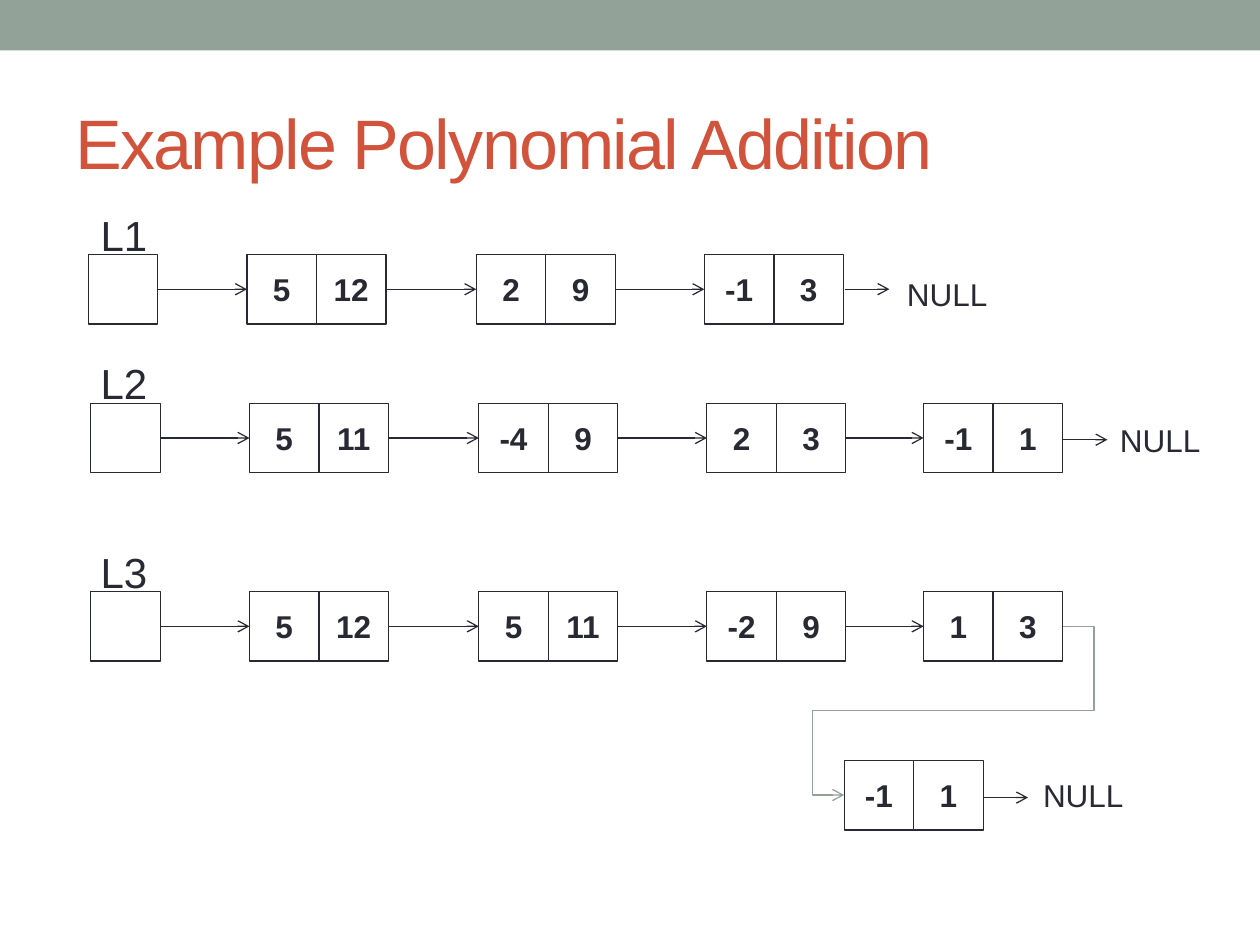
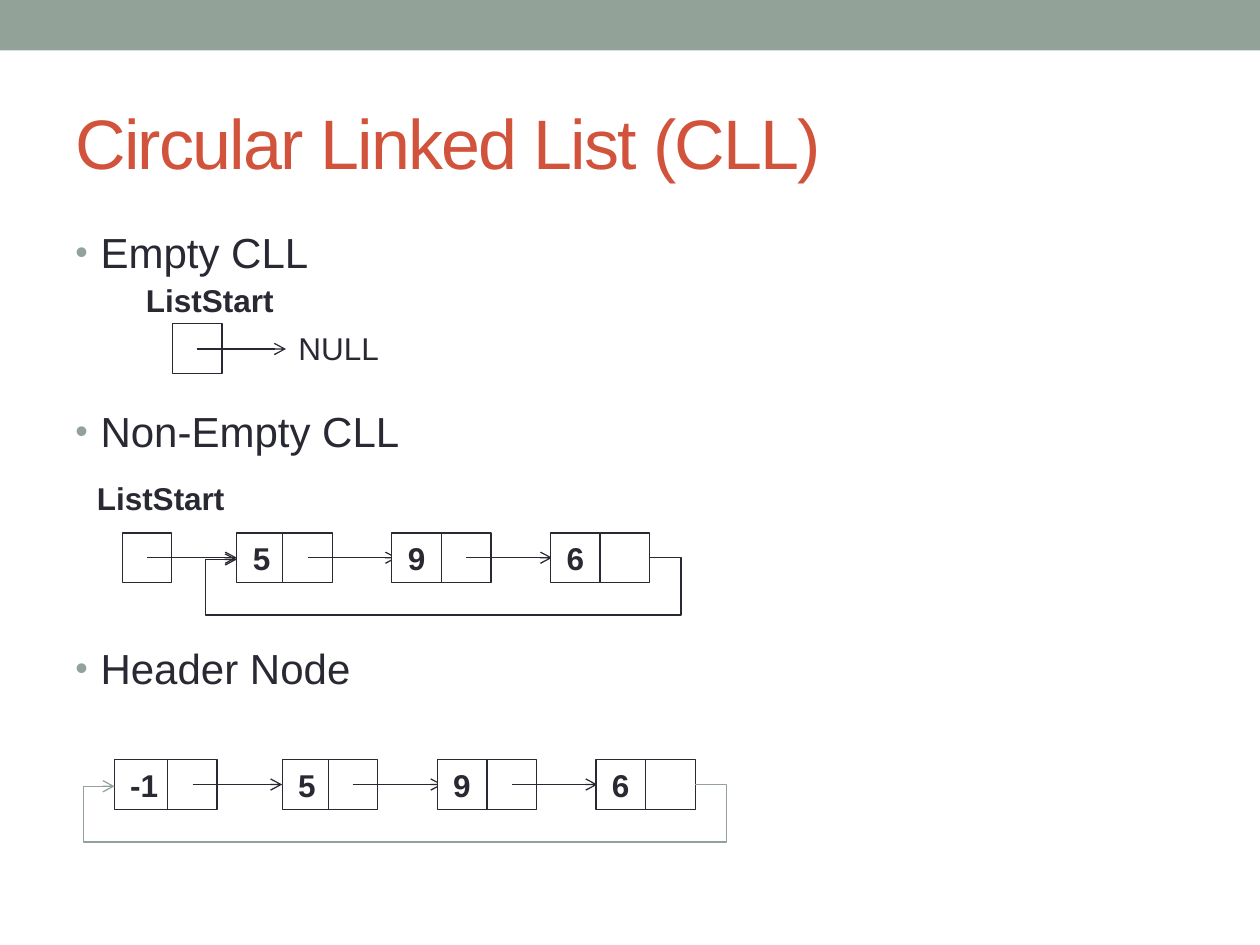
"""Build two slides on linked lists: polynomial addition and circular lists."""
from dataclasses import dataclass

import pptx
import pptx.dml.color
import pptx.enum.shapes
import pptx.enum.text
import pptx.oxml.ns
import pptx.util
from lxml import etree

qn = pptx.oxml.ns.qn
Align = pptx.enum.text.PP_ALIGN
Anchor = pptx.enum.text.MSO_ANCHOR
Connector = pptx.enum.shapes.MSO_CONNECTOR
RECTANGLE = pptx.enum.shapes.MSO_SHAPE.RECTANGLE


@dataclass(frozen=True)
class Theme:
    """Colours, type sizes and the grid of 100 columns by 75 rows."""
    columns: int = 100
    rows: int = 75
    unit: int = pptx.util.Inches(0.1)
    font: str = "Arial"
    ink: str = "292934"
    accent: str = "D2533C"
    sage: str = "93A299"
    paper: str = "FFFFFF"
    title: int = 40
    body: int = 24
    label: int = 18
    stroke: float = 0.75


THEME = Theme()
WIDE_CELL = 5.52
SMALL_CELL = 3.93
NODE_STOPS = (12.6, 30.8, 48.9, 66.1)
NULL_ARROW = 3.55
LOOP_OVERHANG = 2.5


def grid(*cells):
    """Turn grid columns or rows into slide lengths."""
    return [round(cell * THEME.unit) for cell in cells]


def rgb(colour):
    """Turn a hex string into a colour."""
    return pptx.dml.color.RGBColor.from_string(colour)


def style(paragraph, size, colour=THEME.ink, bold=False):
    """Set the font of a whole paragraph."""
    font = paragraph.font
    font.name, font.size, font.bold = THEME.font, pptx.util.Pt(size), bold
    font.color.rgb = rgb(colour)


def add_label(slide, words, left, top, width, height, size=THEME.label, bold=False):
    """Add a single-line label."""
    frame = slide.shapes.add_textbox(*grid(left, top, width, height)).text_frame
    frame.word_wrap = True
    frame.text = words
    style(frame.paragraphs[0], size, bold=bold)


def add_box(slide, left, top, width, height, fill, outline=None):
    """Add a plain rectangle."""
    box = slide.shapes.add_shape(RECTANGLE, *grid(left, top, width, height))
    box.shadow.inherit = False
    box.fill.solid()
    box.fill.fore_color.rgb = rgb(fill)
    if outline:
        box.line.color.rgb = rgb(outline)
        box.line.width = pptx.util.Pt(THEME.stroke)
    else:
        box.line.fill.background()
    return box


def add_cell(slide, left, top, size, value="", width=None):
    """Add one field of a list node."""
    box = add_box(slide, left, top, width or size, size, THEME.paper, THEME.ink)
    if value:
        frame = box.text_frame
        frame.word_wrap = False
        frame.vertical_anchor = Anchor.MIDDLE
        frame.text = value
        frame.paragraphs[0].alignment = Align.CENTER
        style(frame.paragraphs[0], THEME.label, bold=True)


def add_arrow(slide, start, end, colour=THEME.ink, kind=Connector.STRAIGHT):
    """Add a connector with an open arrowhead at its end."""
    arrow = slide.shapes.add_connector(kind, *grid(*start, *end))
    arrow.line.color.rgb = rgb(colour)
    arrow.line.width = pptx.util.Pt(THEME.stroke)
    properties = arrow._element.spPr
    etree.SubElement(properties.find(qn("a:ln")), qn("a:tailEnd"), type="arrow")
    etree.SubElement(properties, qn("a:effectLst"))
    return arrow


def add_loop(slide, start, end, drop, colour):
    """Add an arrow that leaves rightwards, drops, and returns from the left."""
    loop = add_arrow(slide, start, end, colour, Connector.ELBOW)
    overhang = LOOP_OVERHANG / (start[0] - end[0])
    bends = (-overhang, drop / (end[1] - start[1]), 1 + overhang)
    geometry = loop._element.spPr.find(qn("a:prstGeom"))
    geometry.set("prst", "bentConnector5")
    guides = geometry.find(qn("a:avLst"))
    if guides is None:
        guides = etree.SubElement(geometry, qn("a:avLst"))
    for number, bend in enumerate(bends, 1):
        etree.SubElement(guides, qn("a:gd"), name=f"adj{number}",
                         fmla=f"val {round(bend * 100000)}")


def add_slide(deck, heading):
    """Add a blank slide with the top band and the title."""
    slide = deck.slides.add_slide(deck.slide_layouts[6])
    add_box(slide, 0, 0, THEME.columns, 4, THEME.sage)
    frame = slide.shapes.add_textbox(*grid(5, 5.8, 90, 10.8)).text_frame
    frame.word_wrap = True
    frame.vertical_anchor = Anchor.MIDDLE
    frame.text = heading
    style(frame.paragraphs[0], THEME.title, THEME.accent)
    frame.paragraphs[0].runs[0].font._element.set("spc", "-100")
    return slide


def add_topics(slide, topics):
    """Add bulleted topics, each with the space in points left above it."""
    frame = slide.shapes.add_textbox(*grid(5, 17.5, 90, 53.3)).text_frame
    frame.word_wrap = True
    for number, (topic, gap) in enumerate(topics):
        paragraph = frame.add_paragraph() if number else frame.paragraphs[0]
        paragraph.text = topic
        if gap:
            paragraph.space_before = pptx.util.Pt(gap)
        properties = paragraph._p.get_or_add_pPr()
        indent = grid(2)[0]
        properties.set("marL", str(indent))
        properties.set("indent", str(-indent))
        bullet_colour = etree.SubElement(properties, qn("a:buClr"))
        etree.SubElement(bullet_colour, qn("a:srgbClr"), val=THEME.sage)
        etree.SubElement(properties, qn("a:buSzPct"), val="85000")
        etree.SubElement(properties, qn("a:buFont"), typeface=THEME.font)
        etree.SubElement(properties, qn("a:buChar"), char="•")
        style(paragraph, THEME.body)


def add_term(slide, left, top, coefficient, exponent):
    """Add a polynomial term as a two-field node and return its right edge."""
    add_cell(slide, left + WIDE_CELL, top, WIDE_CELL, exponent)
    add_cell(slide, left, top, WIDE_CELL, coefficient)
    return left + 2 * WIDE_CELL


def add_polynomial(slide, name, left, top, terms):
    """Add a named chain of terms and return its right edge."""
    middle = top + WIDE_CELL / 2
    add_cell(slide, left, top, WIDE_CELL)
    add_label(slide, name, 7, top - 4.1, 6.7, 5, THEME.body)
    right = left + WIDE_CELL
    for stop, term in zip(NODE_STOPS, terms):
        add_arrow(slide, (right, middle), (left + stop, middle))
        right = add_term(slide, left + stop, top, *term)
    return right


def add_null(slide, right, middle, label_left, label_top):
    """End a chain with an arrow to NULL."""
    add_arrow(slide, (right, middle), (right + NULL_ARROW, middle))
    add_label(slide, "NULL", label_left, label_top, 10.3, 4)


def add_ring(slide, left, top, colour, header=""):
    """Add a circular list of three nodes after a start or header cell."""
    middle = top + SMALL_CELL / 2
    entry = left
    if header:
        entry = left - 13.3
        add_cell(slide, entry, top, SMALL_CELL, header, width=4.7)
    add_cell(slide, left - 9.1, top, SMALL_CELL)
    add_arrow(slide, (left - 7.1, middle), (left, middle))
    nodes = (("5", 0, 7.1), ("9", 12.3, 6.8), ("6", 24.9, 0))
    for number, (value, offset, reach) in enumerate(nodes):
        pointer = left + 3.65 + 12.6 * number
        add_cell(slide, left + offset, top, SMALL_CELL, value)
        add_cell(slide, pointer, top, SMALL_CELL)
        if reach:
            source = pointer + SMALL_CELL / 2
            add_arrow(slide, (source, middle), (source + reach, middle))
    add_loop(slide, (pointer + SMALL_CELL, middle), (entry, middle + 0.14),
             4.5, colour)


def build_polynomial_slide(deck):
    """Show two polynomials and their sum as linked lists."""
    slide = add_slide(deck, "Example Polynomial Addition")
    right = add_polynomial(slide, "L1", 7, 20.2,
                           [("5", "12"), ("2", "9"), ("-1", "3")])
    add_null(slide, right + 0.1, 22.95, 71, 21.3)
    right = add_polynomial(slide, "L2", 7.2, 32,
                           [("5", "11"), ("-4", "9"), ("2", "3"), ("-1", "1")])
    add_null(slide, right, 34.9, 87.9, 32.9)
    right = add_polynomial(slide, "L3", 7.2, 46.95,
                           [("5", "12"), ("5", "11"), ("-2", "9"), ("1", "3")])
    last_left, last_top = 67, 60.35
    add_loop(slide, (right, 49.7), (last_left, 63.1), 6.7, THEME.sage)
    right = add_term(slide, last_left, last_top, "-1", "1")
    add_null(slide, right, 63.3, 81.8, 61.1)


def build_circular_slide(deck):
    """Show empty, non-empty and header-node circular lists."""
    slide = add_slide(deck, "Circular Linked List (CLL)")
    add_topics(slide, [("Empty CLL", 0), ("Non-Empty CLL", 73.5),
                       ("Header Node", 106.7)])
    add_cell(slide, 13.7, 25.7, SMALL_CELL)
    add_arrow(slide, (15.6, 27.7), (22.7, 27.7))
    add_label(slide, "ListStart", 10.6, 21.8, 14.1, 4, bold=True)
    add_label(slide, "NULL", 22.7, 25.6, 10.3, 4)
    add_label(slide, "ListStart", 6.7, 37.5, 14.1, 4, bold=True)
    add_ring(slide, 18.8, 42.3, THEME.ink)
    add_ring(slide, 22.4, 60.3, THEME.sage, header="-1")


def main():
    """Build and save the deck."""
    deck = pptx.Presentation()
    deck.slide_width, deck.slide_height = grid(THEME.columns, THEME.rows)
    build_polynomial_slide(deck)
    build_circular_slide(deck)
    deck.save("out.pptx")


if __name__ == "__main__":
    main()
